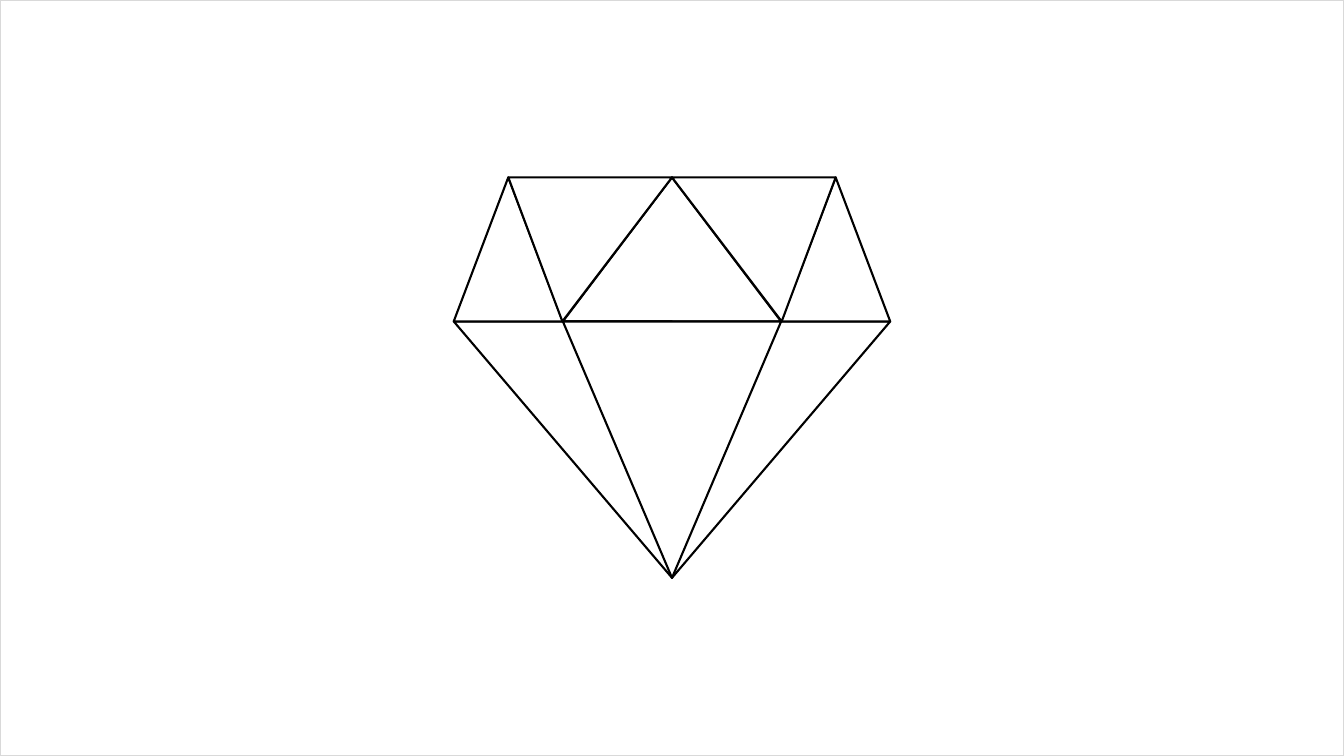
from pptx import Presentation
from pptx.dml.color import RGBColor
from pptx.enum.shapes import MSO_SHAPE
from pptx.util import Cm, Pt

RECTANGLE = MSO_SHAPE.RECTANGLE
TRIANGLE = MSO_SHAPE.ISOSCELES_TRIANGLE
WHITE = RGBColor(0xFF, 0xFF, 0xFF)
BLACK = RGBColor(0x00, 0x00, 0x00)
FRAME_GREY = RGBColor(0xD9, 0xD9, 0xD9)

SLIDE_WIDTH, SLIDE_HEIGHT = 33.87, 19.05
CENTRE = SLIDE_WIDTH / 2
UNIT = 2.75
CROWN = (4.47, 3.63)
PAVILION = (8.1, 6.46)
UP, DOWN = 0, 180

FACETS = [
    (PAVILION, 0, 2, DOWN, 1),
    (CROWN, -1, 1, UP, 0.5),
    (PAVILION, -2, 0, DOWN, 0),
    (PAVILION, -1, 1, DOWN, 0.5),
    (CROWN, -2, -1, UP, 0.5),
    (CROWN, 1, 2, UP, 0.5),
    (CROWN, -1.5, 0, DOWN, 0.67),
    (CROWN, 0, 1.5, DOWN, 0.33),
]


def add_outlined(shapes, preset, left, top, width, height, line_color, line_width):
    outlined = shapes.add_shape(preset, Cm(left), Cm(top), Cm(width), Cm(height))
    outlined.shadow.inherit = False
    outlined.fill.solid()
    outlined.fill.fore_color.rgb = WHITE
    outlined.line.color.rgb = line_color
    outlined.line.width = Pt(line_width)
    return outlined


def main():
    prs = Presentation()
    prs.slide_width, prs.slide_height = Cm(SLIDE_WIDTH), Cm(SLIDE_HEIGHT)
    shapes = prs.slides.add_slide(prs.slide_layouts[6]).shapes

    frame = add_outlined(shapes, RECTANGLE, 0, 0, SLIDE_WIDTH, SLIDE_HEIGHT, FRAME_GREY, 1)
    frame.fill.background()

    for (top, height), start, end, direction, apex in FACETS:
        facet = add_outlined(shapes, TRIANGLE, CENTRE + start * UNIT, top,
                             (end - start) * UNIT, height, BLACK, 1.5)
        facet.rotation = direction
        facet.adjustments[0] = apex

    prs.save("out.pptx")


if __name__ == "__main__":
    main()
